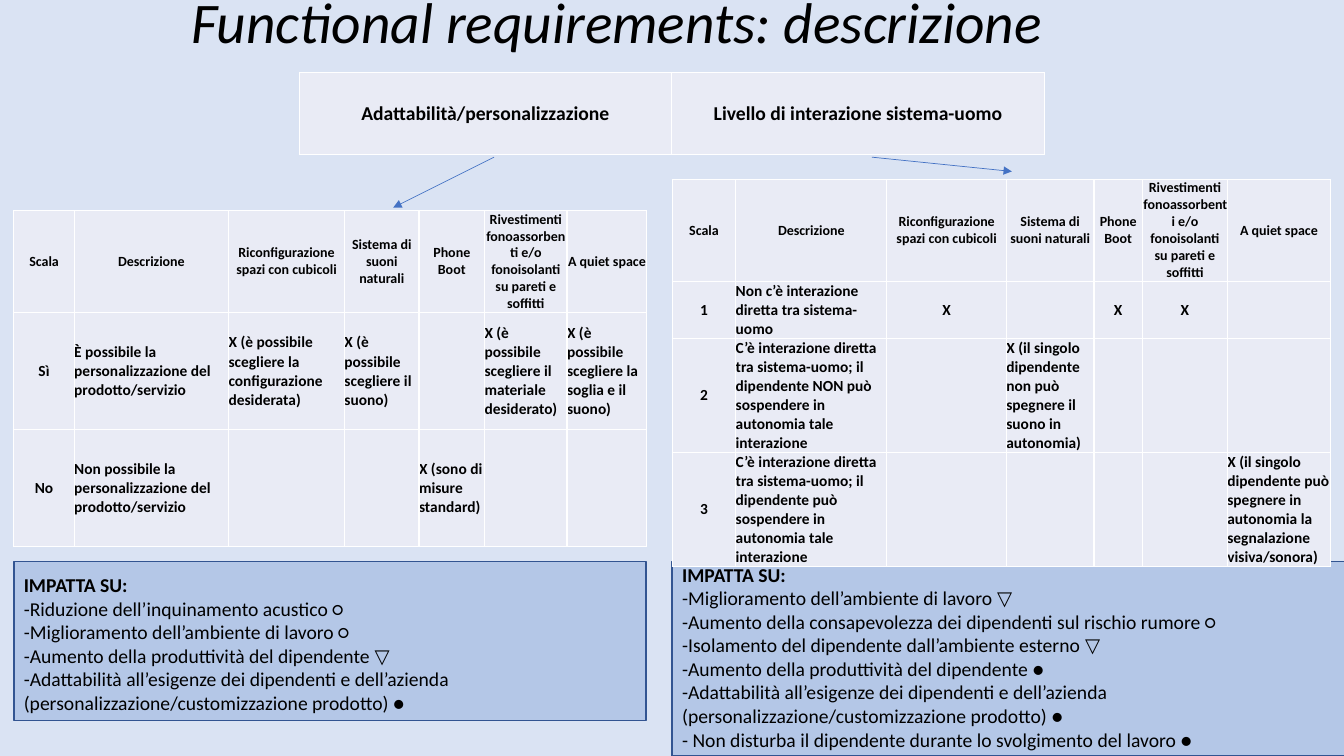
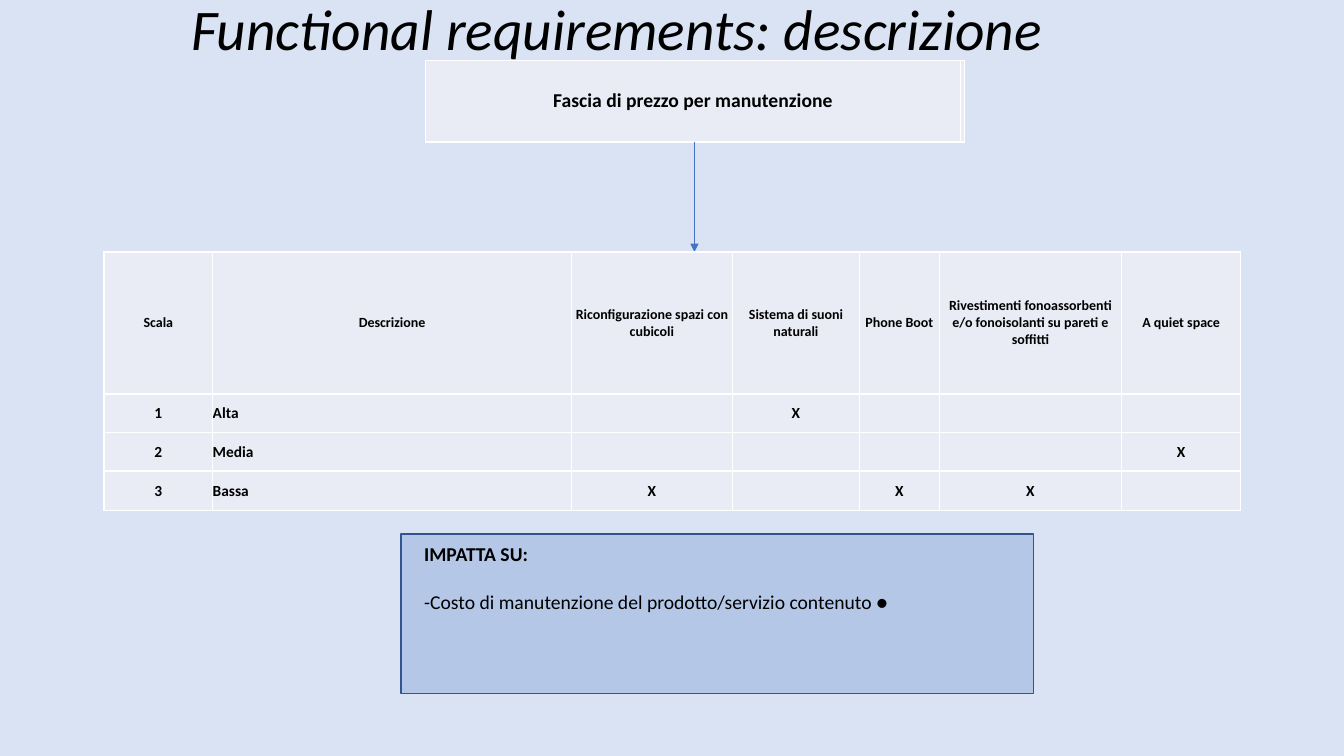
from lxml.etree import SubElement
from pptx import Presentation
from pptx.dml.color import RGBColor
from pptx.enum.dml import MSO_THEME_COLOR
from pptx.enum.shapes import MSO_CONNECTOR, MSO_SHAPE
from pptx.enum.text import MSO_ANCHOR, MSO_AUTO_SIZE, PP_ALIGN
from pptx.oxml import parse_xml
from pptx.oxml.ns import nsdecls, qn
from pptx.util import Cm, Pt

SKY = RGBColor(0xDA, 0xE3, 0xF3)
CELL = RGBColor(0xE9, 0xEB, 0xF5)
PANEL = RGBColor(0xB4, 0xC7, 0xE7)
PANEL_EDGE = RGBColor(0x32, 0x54, 0x91)
ARROW = RGBColor(0x44, 0x72, 0xC4)
WHITE = RGBColor(0xFF, 0xFF, 0xFF)
BLACK = RGBColor(0x00, 0x00, 0x00)
FONT = "Calibri"

TITLE = "Functional requirements: descrizione"
IMPACT = "IMPATTA SU:"
SCALE_HEADER = [
    "Scala",
    "Descrizione",
    "Riconfigurazione spazi con cubicoli",
    "Sistema di suoni naturali",
    "Phone Boot",
    "Rivestimenti fonoassorbenti e/o fonoisolanti su pareti e soffitti",
    "A quiet space",
]
ADAPTABILITY = [
    ["Sì", "È possibile la\npersonalizzazione del prodotto/servizio",
     "X (è possibile scegliere la configurazione desiderata)",
     "X (è possibile scegliere il suono)", "",
     "X (è possibile scegliere il materiale desiderato)",
     "X (è possibile scegliere la soglia e il suono)"],
    ["No", "Non possibile la personalizzazione del prodotto/servizio",
     "", "", "X (sono di misure standard)", "", ""],
]
INTERACTION = [
    ["1", "Non c’è interazione diretta tra sistema-uomo", "X", "", "X", "X", ""],
    ["2", "C’è interazione diretta tra sistema-uomo; il dipendente NON può "
     "sospendere in autonomia tale interazione", "",
     "X (il singolo dipendente non può spegnere il suono in autonomia)", "", "", ""],
    ["3", "C’è interazione diretta tra sistema-uomo; il dipendente può "
     "sospendere in autonomia tale interazione", "", "", "", "",
     "X (il singolo dipendente può spegnere in autonomia la segnalazione visiva/sonora)"],
]
MAINTENANCE = [
    ["1", "Alta", "", "X", "", "", ""],
    ["2", "Media", "", "", "", "", "X"],
    ["3", "Bassa", "X", "", "X", "X", ""],
]
ADAPTABILITY_IMPACTS = [
    "-Riduzione dell’inquinamento acustico ○",
    "-Miglioramento dell’ambiente di lavoro ○",
    "-Aumento della produttività del dipendente ▽",
    "-Adattabilità all’esigenze dei dipendenti e dell’azienda "
    "(personalizzazione/customizzazione prodotto) ●",
]
INTERACTION_IMPACTS = [
    "-Miglioramento dell’ambiente di lavoro ▽",
    "-Aumento della consapevolezza dei dipendenti sul rischio rumore ○",
    "-Isolamento del dipendente dall’ambiente esterno ▽",
    "-Aumento della produttività del dipendente ●",
    ADAPTABILITY_IMPACTS[-1],
    "- Non disturba il dipendente durante lo svolgimento del lavoro ●",
]
MAINTENANCE_IMPACTS = ["-Costo di manutenzione del prodotto/servizio contenuto ●"]


def write(paragraph, text, size=14, bold=False, italic=False, align=PP_ALIGN.LEFT,
          line=None, before=0, after=0):
    """Put formatted text in a paragraph."""
    paragraph.alignment = align
    paragraph.line_spacing = line
    if before:
        paragraph.space_before = Pt(before)
    paragraph.space_after = Pt(after)
    run = paragraph.add_run()
    run.text = text
    run.font.name = FONT
    run.font.size = Pt(size)
    run.font.bold = bold
    run.font.italic = italic
    run.font.color.rgb = BLACK


def set_margins(holder, left=0, top=0, right=0, bottom=0):
    """Set the inner margins of a cell or text frame in centimetres."""
    holder.margin_left, holder.margin_top = Cm(left), Cm(top)
    holder.margin_right, holder.margin_bottom = Cm(right), Cm(bottom)


def add_titled_slide(deck, top):
    """Add a slide with the shared title at the given height."""
    slide = deck.slides.add_slide(deck.slide_layouts[5])
    title = slide.shapes.title
    title.left, title.top, title.width, title.height = Cm(4.57), Cm(top), Cm(24.74), Cm(3.61)
    frame = title.text_frame
    frame.word_wrap = True
    frame.auto_size = MSO_AUTO_SIZE.NONE
    frame.vertical_anchor = MSO_ANCHOR.TOP
    set_margins(frame, 0.25, 0.13, 0.25, 0.13)
    write(frame.paragraphs[0], TITLE, size=41, italic=True, line=0.9, after=6)
    return slide


def format_cell(cell, text, size, align):
    """Give a cell white borders, the pale fill and bold text."""
    properties = cell._tc.get_or_add_tcPr()
    for place, side in enumerate(("lnL", "lnR", "lnT", "lnB")):
        properties.insert(place, parse_xml(
            f'<a:{side} {nsdecls("a")} w="12700"><a:solidFill>'
            f'<a:srgbClr val="{WHITE}"/></a:solidFill></a:{side}>'))
    cell.fill.solid()
    cell.fill.fore_color.rgb = CELL
    cell.vertical_anchor = MSO_ANCHOR.MIDDLE
    set_margins(cell)
    frame = cell.text_frame
    for index, part in enumerate(text.split("\n") if text else []):
        paragraph = frame.add_paragraph() if index else frame.paragraphs[0]
        write(paragraph, part, size=size, bold=True, align=align)


def add_grid(slide, left, top, widths, heights, rows, head_size=10):
    """Add a table whose first row is the header."""
    grid = slide.shapes.add_table(len(rows), len(widths), Cm(left), Cm(top),
                                  Cm(sum(widths)), Cm(sum(heights))).table
    grid.first_row = grid.horz_banding = False
    for column, width in zip(grid.columns, widths):
        column.width = Cm(width)
    for row, height in zip(grid.rows, heights):
        row.height = Cm(height)
    for y, texts in enumerate(rows):
        for x, text in enumerate(texts):
            centred = y == 0 or x == 0 or text == "X"
            format_cell(grid.cell(y, x), text, 11 if y else head_size,
                        PP_ALIGN.CENTER if centred else PP_ALIGN.LEFT)


def add_heading(slide, left, top, widths, texts):
    """Add the one-row table that names the requirements."""
    add_grid(slide, left, top, widths, [2.06], [texts], head_size=14)


def add_scale(slide, left, top, widths, heights, rows):
    """Add a rating table under the shared header."""
    add_grid(slide, left, top, widths, heights, [SCALE_HEADER, *rows])


def add_arrow(slide, start, end):
    """Add a thin arrow between two points."""
    arrow = slide.shapes.add_connector(MSO_CONNECTOR.STRAIGHT, *map(Cm, start + end))
    arrow.line.color.rgb = ARROW
    arrow.line.width = Pt(0.5)
    SubElement(arrow.line._get_or_add_ln(), qn("a:tailEnd"), type="triangle")
    SubElement(arrow._element.spPr, qn("a:effectLst"))


def add_impacts(slide, left, top, width, height, impacts, margins, gap=0):
    """Add the blue panel that lists the impacts."""
    panel = slide.shapes.add_shape(MSO_SHAPE.RECTANGLE, Cm(left), Cm(top), Cm(width), Cm(height))
    panel.shadow.inherit = False
    panel.fill.solid()
    panel.fill.fore_color.rgb = PANEL
    panel.line.color.rgb = PANEL_EDGE
    panel.line.width = Pt(1)
    frame = panel.text_frame
    frame.word_wrap = True
    frame.vertical_anchor = MSO_ANCHOR.TOP
    set_margins(frame, *margins)
    write(frame.paragraphs[0], IMPACT, bold=True)
    for impact in impacts:
        write(frame.add_paragraph(), impact, before=gap)


def build_people_slide(deck):
    """Build the slide on adaptability and interaction."""
    slide = add_titled_slide(deck, -0.28)
    add_heading(slide, 7.54, 1.83, [9.39, 9.39],
                ["Adattabilità/personalizzazione", "Livello di interazione sistema-uomo"])
    add_arrow(slide, (12.45, 3.96), (9.91, 5.23))
    add_arrow(slide, (21.97, 3.96), (25.5, 4.32))
    add_impacts(slide, 0.35, 14.15, 15.93, 4.01, ADAPTABILITY_IMPACTS, (0.25, 0.29, 0.25))
    add_impacts(slide, 16.94, 14.15, 18.08, 4.9, INTERACTION_IMPACTS, (0.25, 0.03, 2.41))
    add_scale(slide, 0.35, 5.31, [1.52, 3.89, 2.92, 1.88, 1.65, 2.08, 2.01],
              [2.44, 2.95, 2.95], ADAPTABILITY)
    add_scale(slide, 16.94, 4.52, [1.6, 3.81, 3.01, 2.21, 1.22, 2.14, 2.6],
              [2.46, 1.35, 2.72, 2.72], INTERACTION)


def build_maintenance_slide(deck):
    """Build the slide on the maintenance price range."""
    slide = add_titled_slide(deck, -0.1)
    add_heading(slide, 10.72, 1.52, [13.49, 0.08], ["Fascia di prezzo per manutenzione", ""])
    add_arrow(slide, (17.5, 3.58), (17.5, 6.35))
    add_impacts(slide, 10.11, 13.46, 15.93, 4.01, MAINTENANCE_IMPACTS, (0.58, 0.2, 0.25), gap=17)
    add_scale(slide, 2.62, 6.35, [2.74, 9.04, 4.06, 3.2, 2.01, 4.6, 3],
              [3.58, 0.97, 0.97, 0.99], MAINTENANCE)


def main():
    """Build and save the deck."""
    deck = Presentation()
    deck.slide_width, deck.slide_height = Cm(33.87), Cm(19.05)
    backdrop = deck.slide_master.background.fill
    backdrop.solid()
    backdrop.fore_color.rgb = SKY
    build_people_slide(deck)
    build_maintenance_slide(deck)
    deck.save("out.pptx")


if __name__ == "__main__":
    main()
